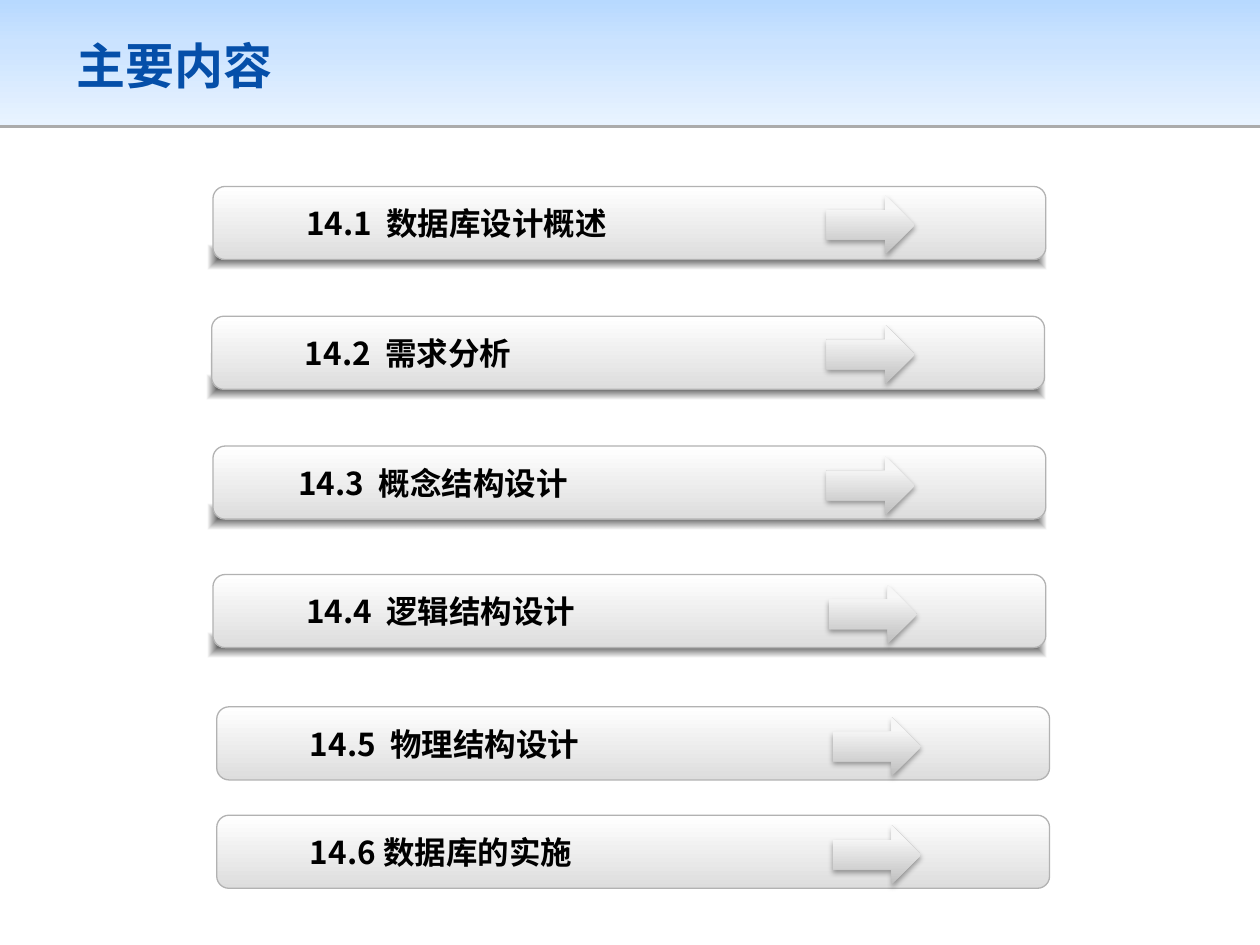
from dataclasses import dataclass

import lxml.etree
import pptx
import pptx.dml.color
import pptx.enum.shapes
import pptx.enum.text
import pptx.oxml
import pptx.oxml.ns
import pptx.util

RGBColor = pptx.dml.color.RGBColor
Inches = pptx.util.Inches
Pt = pptx.util.Pt
SHAPES = pptx.enum.shapes.MSO_SHAPE
MIDDLE = pptx.enum.text.MSO_ANCHOR.MIDDLE
LEFT = pptx.enum.text.PP_ALIGN.LEFT

BLACK = RGBColor(0x00, 0x00, 0x00)
WHITE = RGBColor(0xFF, 0xFF, 0xFF)
SILVER = RGBColor(0xDD, 0xDD, 0xDD)
EDGE_GREY = RGBColor(0xB2, 0xB2, 0xB2)
TITLE_BLUE = RGBColor(0x05, 0x4F, 0xA9)
BANNER_STOPS = [
    (0, RGBColor(0xB7, 0xD9, 0xFF), 100),
    (35, RGBColor(0xCB, 0xE3, 0xFF), 100),
    (100, RGBColor(0xE8, 0xF3, 0xFF), 100),
]
BAR_STOPS = [(0, WHITE, 100), (100, SILVER, 100)]
STRIP_STOPS = [(0, BLACK, 70), (100, BLACK, 0)]
ARROW_STOPS = [
    (0, RGBColor(0xBE, 0xBE, 0xBE), 100),
    (80, RGBColor(0xF7, 0xF7, 0xF7), 100),
    (100, RGBColor(0xF8, 0xF8, 0xF8), 100),
]

SLIDE_WIDTH, SLIDE_HEIGHT = 10, 7.5
BAR_WIDTH, BAR_HEIGHT = 6.61, 0.58
LABEL_WIDTH = 5.91
HEADING_FONT, LABEL_FONT = "Arial", "Noto Sans CJK SC"


@dataclass
class Topic:
    label: str
    left: float
    top: float
    arrow_left: float
    arrow_drop: float = 0.08
    inset: float = 0.16
    raised: bool = True


TOPICS = [
    Topic("14.1  数据库设计概述", 1.69, 1.48, 6.56, arrow_drop=0.07),
    Topic("14.2  需求分析", 1.68, 2.51, 6.56, arrow_drop=0.07),
    Topic("14.3  概念结构设计", 1.69, 3.54, 6.56, inset=0.1),
    Topic("14.4  逻辑结构设计", 1.69, 4.56, 6.58),
    Topic("14.5  物理结构设计", 1.72, 5.61, 6.61, raised=False),
    Topic("14.6 数据库的实施", 1.72, 6.47, 6.61, raised=False),
]


def add_child(parent, tag, **attributes):
    child = lxml.etree.SubElement(parent, pptx.oxml.ns.qn(tag))
    for name, value in attributes.items():
        child.set(name, str(value))
    return child


def add_color(parent, color, opacity):
    node = add_child(parent, "a:srgbClr", val=color)
    if opacity < 100:
        add_child(node, "a:alpha", val=opacity * 1000)


def set_gradient(shape, stops, angle=None):
    properties = shape._element.spPr
    gradient = add_child(properties, "a:gradFill", rotWithShape=1)
    stop_list = add_child(gradient, "a:gsLst")
    for position, color, opacity in stops:
        add_color(add_child(stop_list, "a:gs", pos=position * 1000), color, opacity)
    if angle is None:
        center = add_child(gradient, "a:path", path="shape")
        add_child(center, "a:fillToRect", l=50000, t=50000, r=50000, b=50000)
    else:
        add_child(gradient, "a:lin", ang=angle * 60000, scaled=0)
    properties.find(pptx.oxml.ns.qn("a:prstGeom")).addnext(gradient)


def set_shadow(shape, opacity, blur, distance):
    effects = shape._element.spPr.find(pptx.oxml.ns.qn("a:effectLst"))
    shadow = add_child(effects, "a:outerShdw", blurRad=Pt(blur), dist=Pt(distance),
                       dir=90 * 60000, algn="t", rotWithShape=0)
    add_color(shadow, BLACK, opacity)


def add_panel(page, kind, left, top, width, height, stops, angle=None):
    shape = page.shapes.add_shape(
        kind, Inches(left), Inches(top), Inches(width), Inches(height))
    shape.shadow.inherit = False
    set_gradient(shape, stops, angle)
    shape.line.fill.background()
    return shape


def format_text(frame, font, size, color):
    frame.vertical_anchor = MIDDLE
    para = frame.paragraphs[0]
    para.alignment = LEFT
    for span in para.runs:
        span.font.name = font
        span.font.size = Pt(size)
        span.font.bold = True
        span.font.color.rgb = color


def add_heading(page, text):
    banner = add_panel(page, SHAPES.RECTANGLE, 0, 0, SLIDE_WIDTH, 0.99, BANNER_STOPS, 90)
    set_shadow(banner, 33, 0, 1.6)
    title = page.shapes.title
    title._element.addprevious(banner._element)
    title.left, title.top = Inches(0.51), Inches(0.16)
    title.width, title.height = Inches(8.98), Inches(0.71)
    title.text_frame.text = text
    format_text(title.text_frame, HEADING_FONT, 28, TITLE_BLUE)


def add_label(page, topic):
    box = page.shapes.add_textbox(Inches(topic.left + 0.08), Inches(topic.top),
                                  Inches(LABEL_WIDTH), Inches(BAR_HEIGHT))
    frame = box.text_frame
    frame.word_wrap = True
    frame.margin_left = Inches(topic.inset)
    frame.text = topic.label
    format_text(frame, LABEL_FONT, 18, BLACK)
    para = frame.paragraphs[0]
    para._p.get_or_add_pPr().set("marL", str(Inches(0.5)))
    for span in para.runs:
        add_child(span.font._element, "a:ea", typeface=LABEL_FONT)


def add_topic(page, topic):
    if topic.raised:
        add_panel(page, SHAPES.RECTANGLE, topic.left - 0.04, topic.top + 0.46,
                  6.66, 0.2, STRIP_STOPS)
    bar = add_panel(page, SHAPES.ROUNDED_RECTANGLE, topic.left, topic.top,
                    BAR_WIDTH, BAR_HEIGHT, BAR_STOPS, 90)
    bar.line.color.rgb = EDGE_GREY
    bar.line.width = Pt(0.75)
    add_label(page, topic)
    arrow = add_panel(page, SHAPES.RIGHT_ARROW, topic.arrow_left,
                      topic.top + topic.arrow_drop, 0.7, 0.47, ARROW_STOPS, 270)
    set_shadow(arrow, 35, 3.1, 1.8)


def main():
    deck = pptx.Presentation()
    deck.slide_width = Inches(SLIDE_WIDTH)
    deck.slide_height = Inches(SLIDE_HEIGHT)
    page = deck.slides.add_slide(deck.slide_layouts[5])
    add_heading(page, "主要内容")
    for topic in TOPICS:
        add_topic(page, topic)
    deck.save("out.pptx")


if __name__ == "__main__":
    main()
